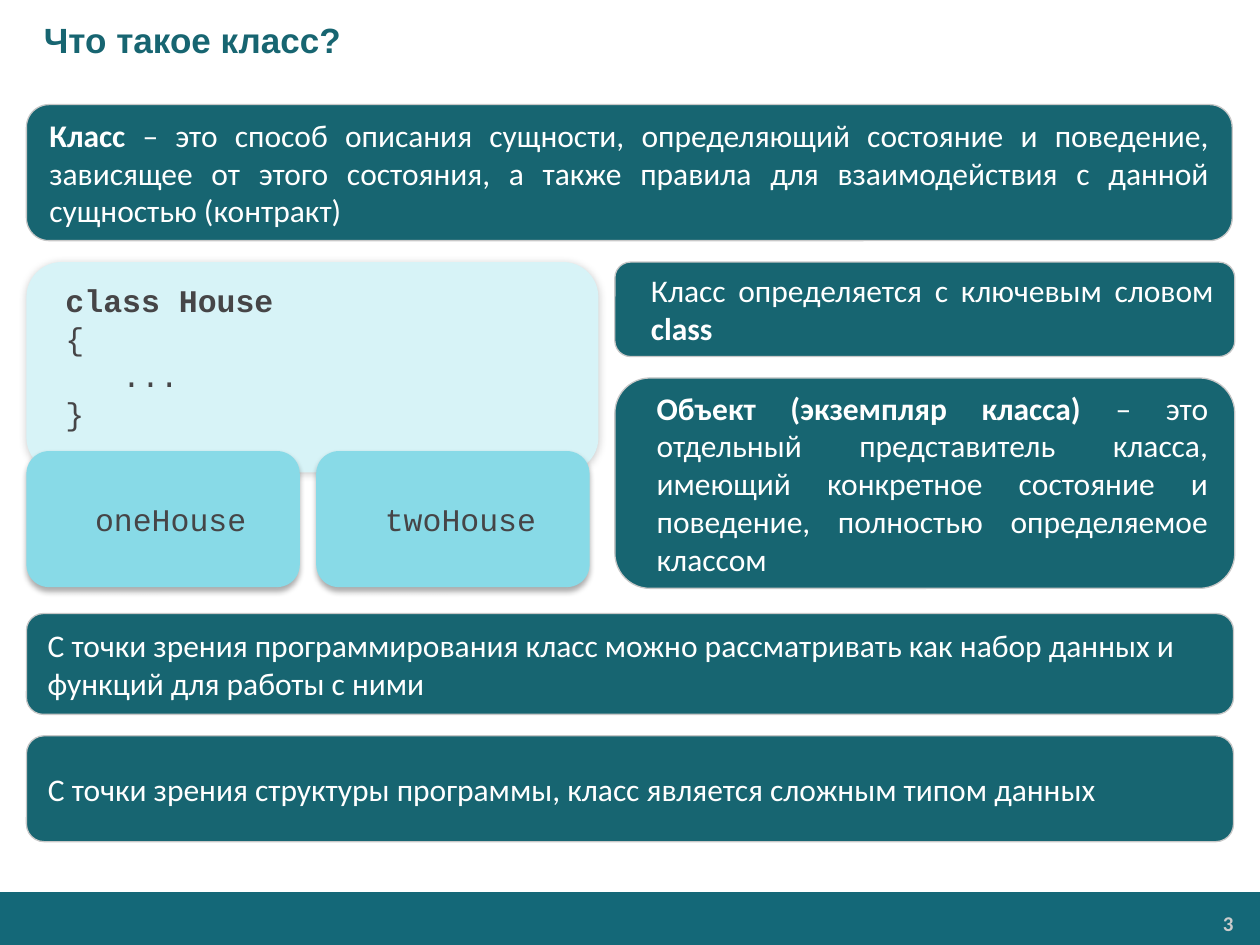
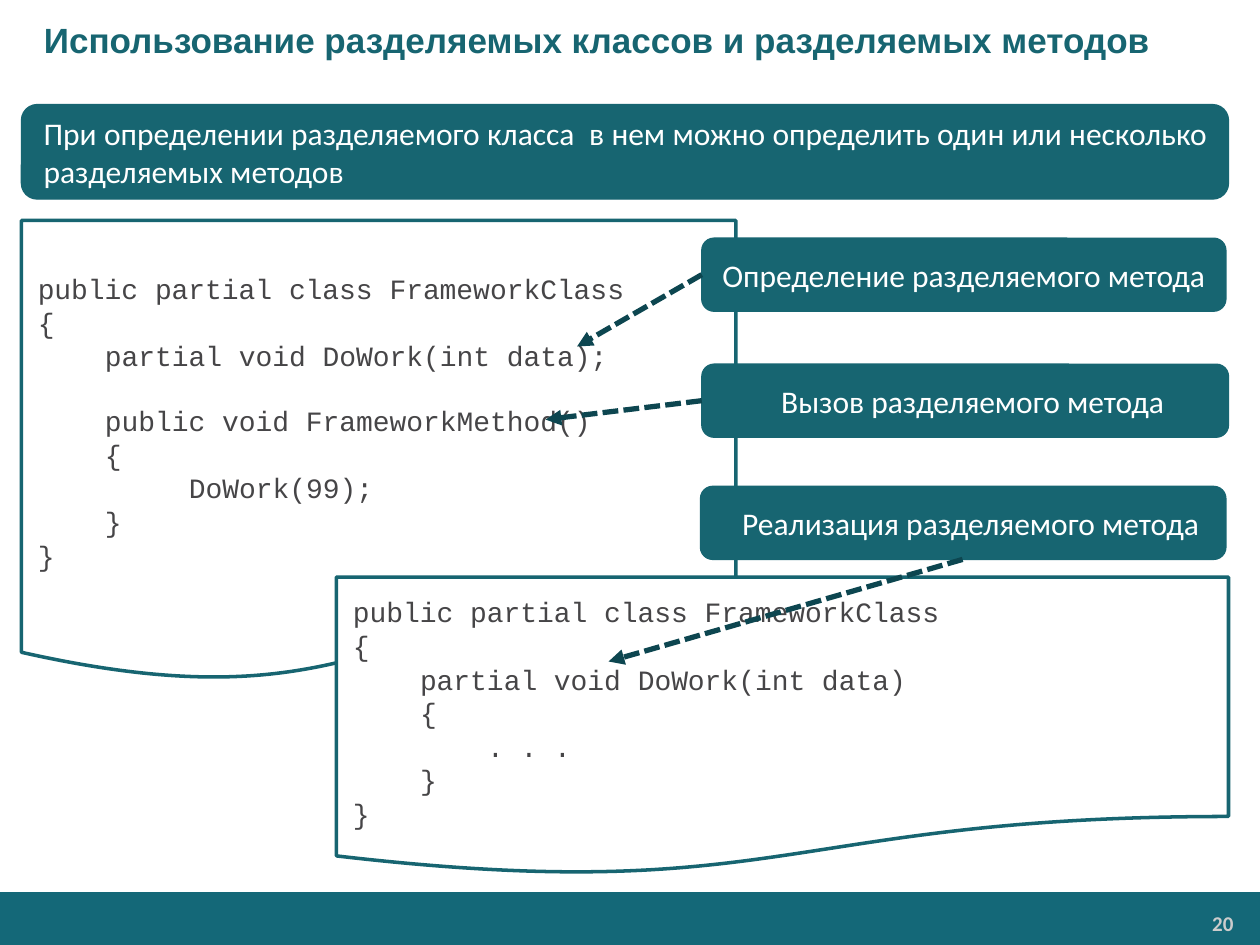
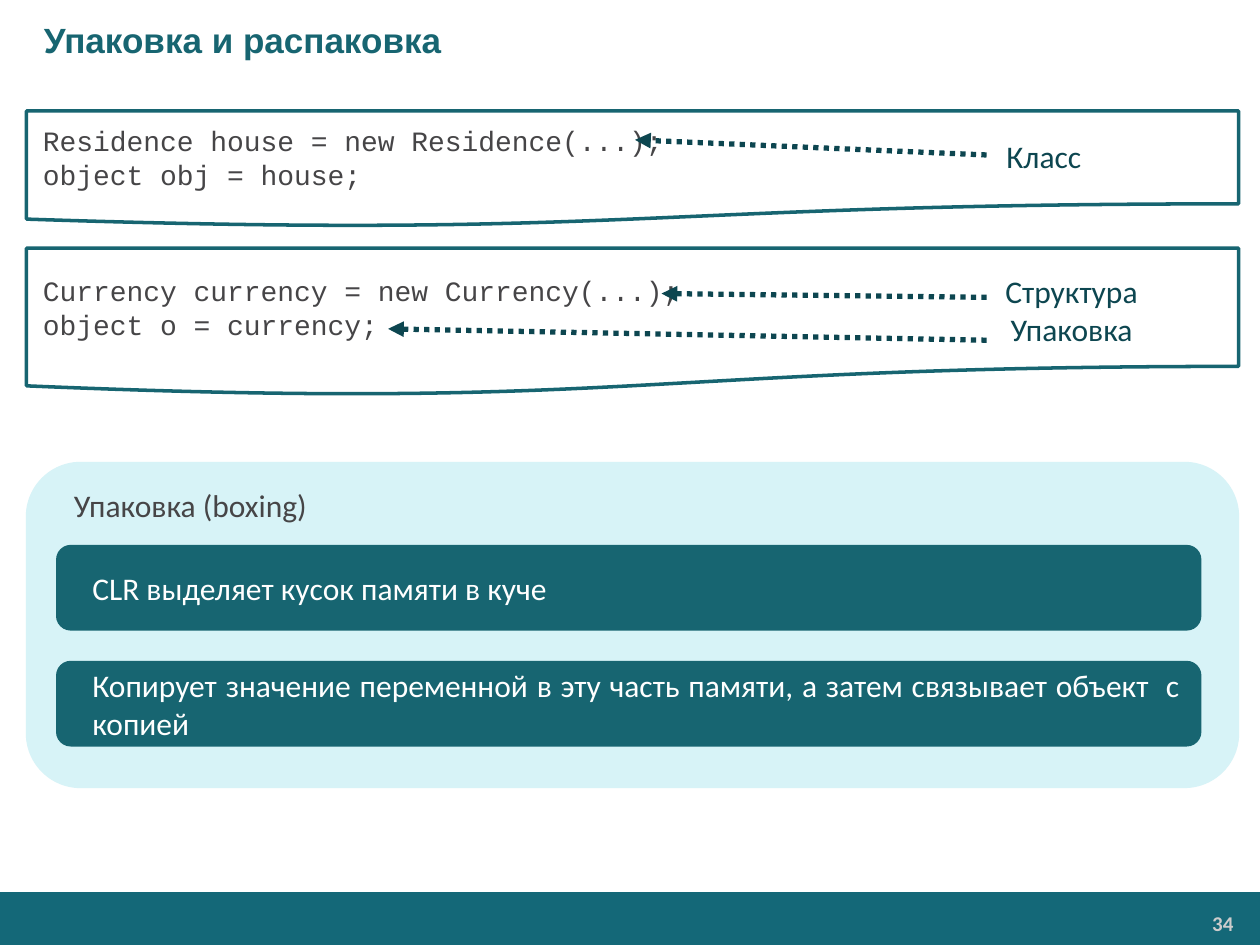
from lxml.etree import SubElement
from pptx import Presentation
from pptx.dml.color import RGBColor
from pptx.enum.dml import MSO_LINE
from pptx.enum.shapes import MSO_CONNECTOR, MSO_SHAPE
from pptx.enum.text import MSO_ANCHOR, PP_ALIGN
from pptx.oxml.ns import qn
from pptx.util import Inches, Pt

# Shared look
TEAL, DARK, PALE, AQUA = "176571", "0D4650", "D7F3F7", "88DAE7"
BAR, INK, WHITE, GREY, SILVER = "146878", "464547", "FFFFFF", "C8C8C8", "CCCCCC"
SANS, MONO = "Calibri", "Courier New"
ALIGN = {"l": PP_ALIGN.LEFT, "c": PP_ALIGN.CENTER,
         "r": PP_ALIGN.RIGHT, "j": PP_ALIGN.JUSTIFY}
ROUND, PAGE = MSO_SHAPE.ROUNDED_RECTANGLE, MSO_SHAPE.FLOWCHART_DOCUMENT
GLOW, DROP = (20, 5, 1), (32, 3.5, 2.2)  # opacity %, blur pt, distance pt

# Each style: shape format, text format
CODE = dict(font=MONO, color=INK)
STYLES = {
    "band": (dict(fill=TEAL, line=TEAL), dict(color=WHITE)),
    "rim": (dict(fill=TEAL, line=GREY), dict(color=WHITE)),
    "panel": (dict(fill=PALE, line=PALE), dict(color=INK, top=True)),
    "glow": (dict(fill=PALE, shade=GLOW), {}),
    "sheet": (dict(fill=PALE, kind=PAGE), CODE),
    "item": (dict(fill=AQUA, shade=DROP), dict(CODE, align="c", indent=0.12)),
    "code": (dict(fill=WHITE, line=TEAL, width=2, kind=PAGE), dict(CODE, size=16)),
    "label": (dict(fill=WHITE), dict(color=DARK)),
}

# Content: style, box (left, top, width, height), lines, text format.
# Text between asterisks is bold.
LEAD = dict(inset=(0.13, 0.31, 0.13, 0.06))
JUST, MID = dict(align="j", indent=0.12), dict(align="c", indent=0.12)
SLIDES = [
    dict(title="Что такое класс?", num=3, parts=[
        ("rim", (0.21, 0.83, 9.57, 1.08),
         ["*Класс* – это способ описания сущности, определяющий состояние и поведение, "
          "зависящее от этого состояния, а также правила для взаимодействия с данной "
          "сущностью (контракт)"], dict(align="j")),
        ("glow", (0.21, 2.08, 4.54, 1.67), [], {}),
        ("sheet", (0.39, 2.16, 2.67, 1.67),
         ["*class House*", "{", "   ...", "}"], {}),
        ("item", (0.21, 3.58, 2.17, 1.08), ["oneHouse"], {}),
        ("item", (2.51, 3.58, 2.17, 1.08), ["twoHouse"], {}),
        ("rim", (4.88, 2.08, 4.92, 0.75),
         ["Класс определяется с ключевым словом *class*"], JUST),
        ("rim", (4.88, 3, 4.92, 1.67),
         ["*Объект (экземпляр класса) *– это отдельный представитель класса, имеющий "
          "конкретное состояние и поведение, полностью определяемое классом"], JUST),
        ("rim", (0.21, 4.87, 9.58, 0.8),
         ["С точки зрения программирования класс можно рассматривать как набор данных "
          "и функций для работы с ними"], {}),
        ("rim", (0.21, 5.84, 9.58, 0.84),
         ["С точки зрения структуры программы, класс является сложным типом данных"], {}),
    ], arrows=[], dash=None),
    dict(title="Использование разделяемых классов и разделяемых методов", num=20, parts=[
        ("band", (0.17, 0.83, 9.58, 0.75),
         ["При определении разделяемого класса  в нем можно определить один или "
          "несколько разделяемых методов"], dict(align="j", indent=0.01)),
        ("code", (0.17, 1.75, 5.67, 3.67),
         ["public partial class FrameworkClass", "{",
          "    partial void DoWork(int data);", "",
          "    public void FrameworkMethod()", "    {",
          "         DoWork(99);", "    }", "}"], LEAD),
        ("code", (2.67, 4.58, 7.08, 2.37),
         ["public partial class FrameworkClass", "{",
          "    partial void DoWork(int data)", "    {",
          "        . . .", "    }", "}"], LEAD),
        ("band", (5.57, 2.89, 4.18, 0.58), ["Вызов разделяемого метода"], MID),
        ("band", (5.57, 1.89, 4.16, 0.58),
         ["Определение разделяемого метода"], dict(align="c")),
        ("band", (5.56, 3.86, 4.17, 0.58), ["Реализация разделяемого метода"], MID),
    ], arrows=[(5.57, 2.18, 4.58, 2.75), (5.57, 3.18, 4.33, 3.33),
               (7.64, 4.44, 4.83, 5.25)], dash=MSO_LINE.SQUARE_DOT),
    dict(title="Упаковка и распаковка", num=34, parts=[
        ("code", (0.21, 0.88, 9.62, 0.92),
         ["Residence house = new Residence(...);", "object obj = house;"], {}),
        ("code", (0.21, 1.97, 9.62, 1.17),
         ["Currency currency = new Currency(...);", "object o = currency;"], {}),
        ("panel", (0.21, 3.67, 9.62, 2.58), ["Упаковка (boxing)"], JUST),
        ("band", (0.45, 5.25, 9.08, 0.67),
         ["Копирует значение переменной в эту часть памяти, а затем связывает "
          "объект  с копией"], JUST),
        ("band", (0.45, 4.33, 9.08, 0.67), ["CLR выделяет кусок памяти в куче"], JUST),
        ("label", (7.67, 2.05, 1.67, 0.82), ["Структура", "Упаковка"], dict(align="c")),
        ("label", (7.83, 0.95, 1.67, 0.57), ["Класс"], {}),
    ], arrows=[(7.83, 2.7, 3.08, 2.61), (7.83, 1.23, 5.04, 1.11),
               (7.83, 2.36, 5.25, 2.33)], dash=MSO_LINE.ROUND_DOT),
]
DASHES = {MSO_LINE.SQUARE_DOT: "sysDash", MSO_LINE.ROUND_DOT: "sysDot"}


def rgb(code):
    return RGBColor.from_string(code)


def write(shape, lines, font=SANS, size=18, color=INK, bold=False, align="l",
          indent=0, top=False, inset=(0.13, 0.06, 0.13, 0.06)):
    """Fill a shape with lines; leading spaces become indents, "" a gap."""
    frame = shape.text_frame
    frame.word_wrap = True
    frame.vertical_anchor = MSO_ANCHOR.TOP if top else MSO_ANCHOR.MIDDLE
    (frame.margin_left, frame.margin_top,
     frame.margin_right, frame.margin_bottom) = map(Inches, inset)
    para, gap = frame.paragraphs[0], 0
    for row, line in enumerate(lines):
        if not line:
            gap = size * 1.13
            continue
        if row:
            para = frame.add_paragraph()
        para.alignment = ALIGN[align]
        para.space_before, gap = Pt(gap), 0
        body = line.lstrip(" ")
        step = (len(line) - len(body)) * size * 0.6 / 72
        props = para._p.get_or_add_pPr()
        props.set("marL", str(Inches(indent + step)))
        props.set("indent", "0")
        for odd, piece in enumerate(body.split("*")):
            if piece:
                run = para.add_run()
                run.text = piece
                run.font.name, run.font.size = font, Pt(size)
                run.font.bold = bold or odd % 2 == 1
                run.font.color.rgb = rgb(color)


def cast(shape, alpha, blur, dist):
    """Give a shape a soft shadow that falls straight down."""
    list_ = shape._element.spPr.find(qn("a:effectLst"))
    drop = SubElement(list_, qn("a:outerShdw"), blurRad=str(Pt(blur)),
                      dist=str(Pt(dist)), dir="5400000", algn="t", rotWithShape="0")
    tint = SubElement(drop, qn("a:srgbClr"), val="000000")
    SubElement(tint, qn("a:alpha"), val=str(alpha * 1000))


def block(slide, box, fill, line=None, width=0.75, kind=ROUND, shade=None):
    shape = slide.shapes.add_shape(kind, *map(Inches, box))
    shape.shadow.inherit = False
    shape.fill.solid()
    shape.fill.fore_color.rgb = rgb(fill)
    if line:
        shape.line.color.rgb = rgb(line)
        shape.line.width = Pt(width)
    else:
        shape.line.fill.background()
    if shade:
        cast(shape, *shade)
    return shape


def arrow(slide, ends, dash):
    link = slide.shapes.add_connector(MSO_CONNECTOR.STRAIGHT, *map(Inches, ends))
    link.line.color.rgb = rgb(DARK)
    link.line.width = Pt(3)
    link.line.dash_style = dash
    line = link.line._get_or_add_ln()
    line.find(qn("a:prstDash")).set("val", DASHES[dash])
    SubElement(line, qn("a:tailEnd"), type="triangle")
    SubElement(link._element.spPr, qn("a:effectLst"))


def note(slide, box, text, **style):
    write(slide.shapes.add_textbox(*map(Inches, box)), [text], bold=True, **style)


def frame(slide, title, num):
    """Footer band, slide number and title."""
    block(slide, (0, 7.08, 10, 0.42), BAR, kind=MSO_SHAPE.RECTANGLE)
    note(slide, (8.23, 7.19, 1.63, 0.28), str(num), size=12, color=SILVER,
         align="r", top=True, inset=(0.07, 0.04, 0.07, 0.04))
    note(slide, (0, 0, 10, 0.63), title, font="Arial", size=20, color=TEAL,
         indent=0.25, inset=(0.1, 0.05, 0.1, 0.05))


def main():
    deck = Presentation()
    deck.slide_width, deck.slide_height = Inches(10), Inches(7.5)
    for page in SLIDES:
        slide = deck.slides.add_slide(deck.slide_layouts[6])
        frame(slide, page["title"], page["num"])
        for style, box, lines, extra in page["parts"]:
            look, words = STYLES[style]
            shape = block(slide, box, **look)
            if lines:
                write(shape, lines, **{**words, **extra})
        for ends in page["arrows"]:
            arrow(slide, ends, page["dash"])
    deck.save("out.pptx")


if __name__ == "__main__":
    main()
